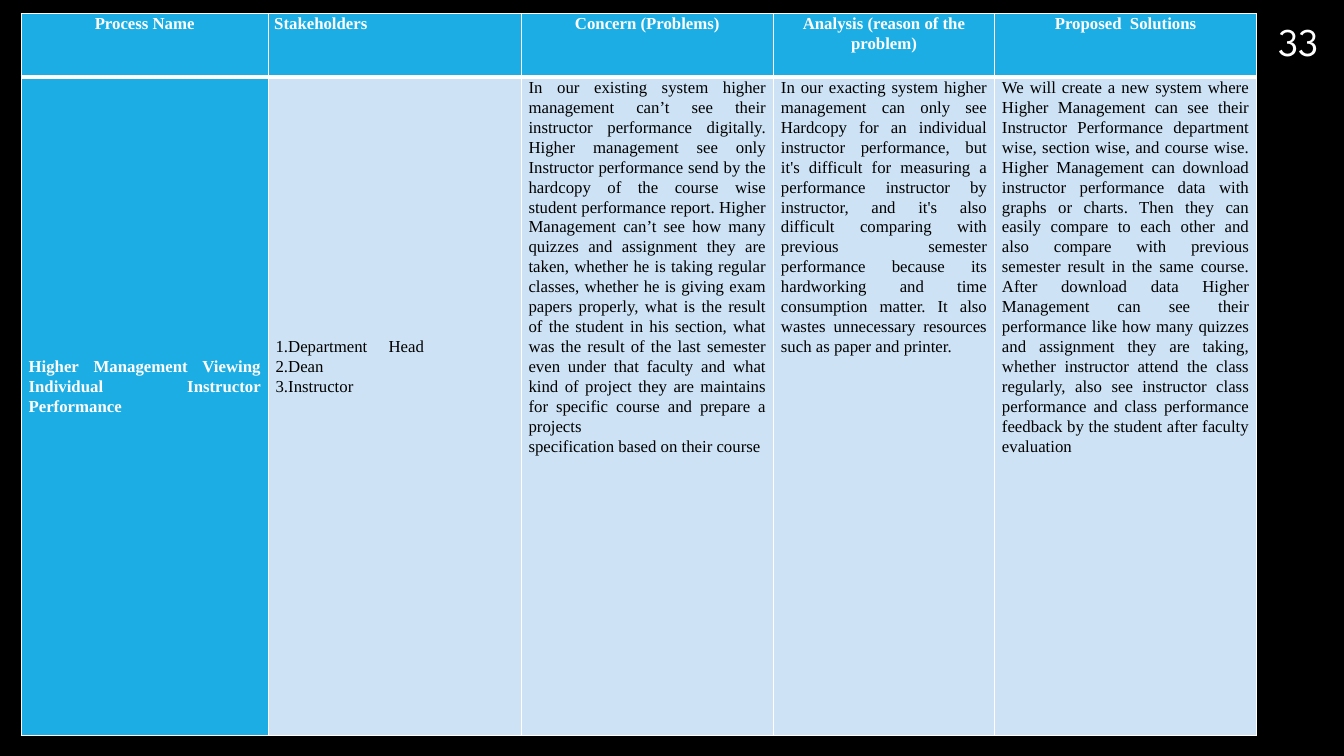
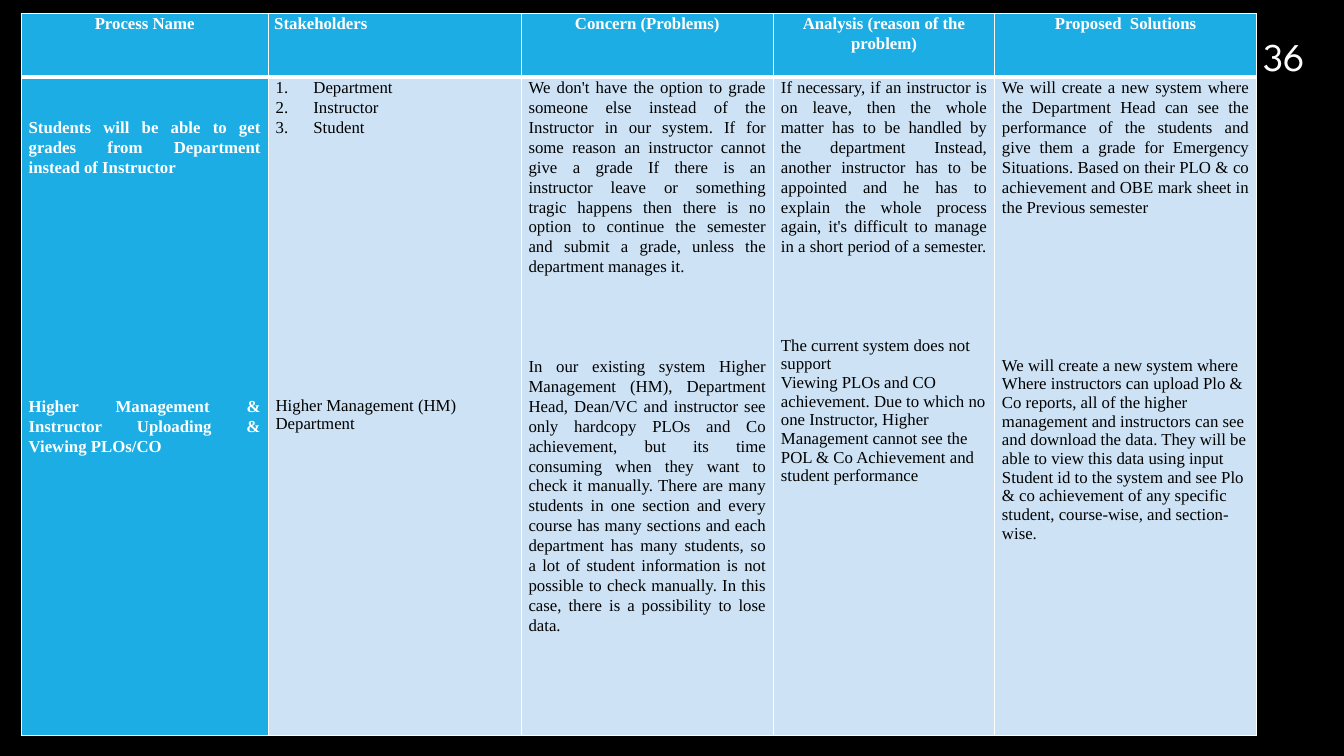
from lxml.etree import SubElement
from pptx import Presentation
from pptx.dml.color import RGBColor
from pptx.enum.text import MSO_ANCHOR, PP_ALIGN
from pptx.oxml.ns import qn
from pptx.util import Pt

BLACK = RGBColor(0x00, 0x00, 0x00)
WHITE = RGBColor(0xFF, 0xFF, 0xFF)
BLUE = RGBColor(0x1C, 0xAD, 0xE4)
PALE = RGBColor(0xCD, 0xE3, 0xF5)
BODY_FONT = "Times New Roman"
NUMBER_FONT = "League Spartan"
LINE = 14.24
SPACING = 1.07
COLS = [176.4, 180.7, 180.3, 157.9, 187.2]
ROWS = [45.4, 470.2]
HEADERS = ["Process Name", "Stakeholders", "Concern (Problems)",
           "Analysis (reason of the problem)", "Proposed  Solutions"]
ALIGNS = {"center": PP_ALIGN.CENTER, "left": PP_ALIGN.LEFT, "plain": PP_ALIGN.LEFT,
          "justify": PP_ALIGN.JUSTIFY, "number": PP_ALIGN.JUSTIFY}

SLIDES = [
    ("33", 894.2, -10.8, [
        [(14, "justify", "Higher Management Viewing Individual Instructor Performance")],
        [(13, "justify", "1.Department\tHead"),
         (0, "justify", "2.Dean"),
         (0, "justify", "3.Instructor")],
        [(0, "justify",
          "In our existing system higher management can’t see their instructor performance "
          "digitally. Higher management see only Instructor performance send by the hardcopy "
          "of the course wise student performance report. Higher Management can’t see how "
          "many quizzes and assignment they are taken, whether he is taking regular classes, "
          "whether he is giving exam papers properly, what is the result of the student in "
          "his section, what was the result of the last semester even under that faculty and "
          "what kind of project they are maintains for specific course and prepare a projects"),
         (0, "justify", "specification based on their course")],
        [(0, "justify",
          "In our exacting system higher management can only see Hardcopy for an individual "
          "instructor performance, but it's difficult for measuring a performance instructor "
          "by instructor, and it's also difficult comparing with previous semester "
          "performance because its hardworking and time consumption matter. It also wastes "
          "unnecessary resources such as paper and printer.")],
        [(0, "justify",
          "We will create a new system where Higher Management can see their Instructor "
          "Performance department wise, section wise, and course wise. Higher Management can "
          "download instructor performance data with graphs or charts. Then they can easily "
          "compare to each other and also compare with previous semester result in the same "
          "course. After download data Higher Management can see their performance like how "
          "many quizzes and assignment they are taking, whether instructor attend the class "
          "regularly, also see instructor class performance and class performance feedback "
          "by the student after faculty evaluation")],
    ]),
    ("36", 884.2, 0, [
        [(2, "justify",
          "Students will be able to get grades from Department instead of Instructor"),
         (11, "justify", "Higher Management & Instructor Uploading & Viewing PLOs/CO")],
        [(0, "number", "Department"),
         (0, "number", "Instructor"),
         (0, "number", "Student"),
         (13, "plain", "Higher Management (HM)"),
         (0, "plain", "Department")],
        [(0, "justify",
          "We don't have the option to grade someone else instead of the Instructor in our "
          "system. If for some reason an instructor cannot give a grade If there is an "
          "instructor leave or something tragic happens then there is no option to continue "
          "the semester and submit a grade, unless the department manages it."),
         (4, "justify",
          "In our existing system Higher Management (HM), Department Head, Dean/VC and "
          "instructor see only hardcopy PLOs and Co achievement, but its time consuming when "
          "they want to check it manually. There are many students in one section and every "
          "course has many sections and each department has many students, so a lot of "
          "student information is not possible to check manually. In this case, there is a "
          "possibility to lose data.")],
        [(0, "justify",
          "If necessary, if an instructor is on leave, then the whole matter has to be "
          "handled by the department Instead, another instructor has to be appointed and he "
          "has to explain the whole process again, it's difficult to manage in a short "
          "period of a semester."),
         (4, "plain", "The current system does not support"),
         (0, "plain",
          "Viewing PLOs and CO achievement. Due to which no one Instructor, Higher "
          "Management cannot see the POL & Co Achievement and student performance")],
        [(0, "justify",
          "We will create a new system where the Department Head can see the performance of "
          "the students and give them a grade for Emergency Situations. Based on their PLO & "
          "co achievement and OBE mark sheet in the Previous semester"),
         (7, "plain", "We will create a new system where"),
         (0, "plain",
          "Where instructors can upload Plo & Co reports, all of the higher management and "
          "instructors can see and download the data. They will be able to view this data "
          "using input Student id to the system and see Plo & co achievement of any specific "
          "student, course-wise, and section-wise.")],
    ]),
]


def set_borders(cell, top, bottom):
    tcPr = cell._tc.get_or_add_tcPr()
    widths = [("a:lnL", 1), ("a:lnR", 1), ("a:lnT", top), ("a:lnB", bottom)]
    for i, (tag, width) in enumerate(widths):
        ln = SubElement(tcPr, qn(tag), w=str(Pt(width)))
        fill = SubElement(ln, qn("a:solidFill"))
        SubElement(fill, qn("a:srgbClr"), val=str(WHITE))
        tcPr.insert(i, ln)


def fill_cell(cell, paras, inset, fill, color, bold):
    cell.fill.solid()
    cell.fill.fore_color.rgb = fill
    cell.vertical_anchor = MSO_ANCHOR.TOP
    cell.margin_left = cell.margin_right = Pt(inset)
    cell.margin_top = Pt(paras[0][0] * LINE)
    cell.margin_bottom = 0
    tf = cell.text_frame
    tf.text = "\n".join(text for _, _, text in paras)
    for i, (p, (gap, style, text)) in enumerate(zip(tf.paragraphs, paras)):
        p.alignment = ALIGNS[style]
        p.line_spacing = 1.0 if style == "plain" else SPACING
        if i and gap:
            p.space_before = Pt(gap * LINE)
        pPr = p._p.get_or_add_pPr()
        if style == "number":
            pPr.set("marL", str(Pt(27)))
            pPr.set("indent", str(-Pt(27)))
            SubElement(pPr, qn("a:buFont"), typeface="+mj-lt")
            SubElement(pPr, qn("a:buAutoNum"), type="arabicPeriod")
        if "\t" in text:
            tabs = SubElement(pPr, qn("a:tabLst"))
            SubElement(tabs, qn("a:tab"), pos=str(Pt(80.7)), algn="l")
        for r in p.runs:
            r.font.name = BODY_FONT
            r.font.size = Pt(12)
            r.font.bold = bold
            r.font.color.rgb = color


prs = Presentation()
prs.slide_width = Pt(960)
prs.slide_height = Pt(540)
bg = prs.slide_master.background.fill
bg.solid()
bg.fore_color.rgb = BLACK

for number, left, top, body in SLIDES:
    s = prs.slides.add_slide(prs.slide_layouts[6])

    box = s.shapes.add_textbox(Pt(left), Pt(top), Pt(66.2), Pt(60.5))
    tf = box.text_frame
    tf.word_wrap = True
    tf.vertical_anchor = MSO_ANCHOR.BOTTOM
    tf.text = number
    p = tf.paragraphs[0]
    p.alignment = PP_ALIGN.CENTER
    font = p.runs[0].font
    font.name = NUMBER_FONT
    font.size = Pt(28)
    font.color.rgb = WHITE

    frame = s.shapes.add_table(2, len(COLS), Pt(15.2), Pt(9.8), Pt(sum(COLS)), Pt(sum(ROWS)))
    table = frame.table
    table.first_row = False
    table.horz_banding = False
    for row, height in zip(table.rows, ROWS):
        row.height = Pt(height)
    for c, width in enumerate(COLS):
        table.columns[c].width = Pt(width)
        head, cell = table.cell(0, c), table.cell(1, c)
        align = "left" if c == 1 else "center"
        fill_cell(head, [(0, align, HEADERS[c])], 4.3, BLUE, WHITE, True)
        set_borders(head, 1, 3)
        first = c == 0
        fill_cell(cell, body[c], 5.3, BLUE if first else PALE, WHITE if first else BLACK, first)
        set_borders(cell, 3, 1)

prs.save("out.pptx")
